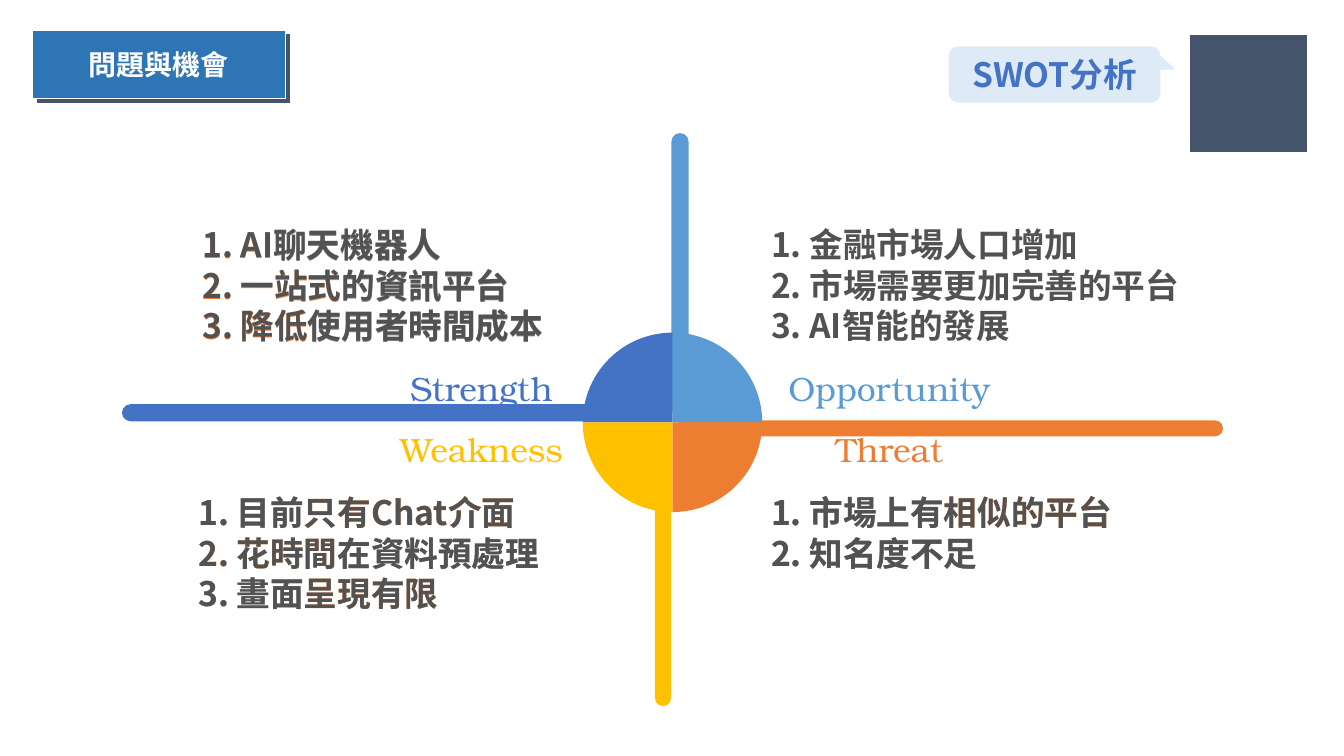
import math
from dataclasses import dataclass

import lxml.etree
import pptx
import pptx.dml.color
import pptx.enum.shapes
import pptx.enum.text
import pptx.oxml.ns
import pptx.util

Inches = pptx.util.Inches
Pt = pptx.util.Pt
SHAPES = pptx.enum.shapes.MSO_SHAPE
ALIGN = pptx.enum.text.PP_ALIGN
ANCHOR = pptx.enum.text.MSO_ANCHOR

SANS, SERIF = "Noto Sans CJK SC", "TeX Gyre Bonum"
BLUE, SKY, GOLD, ORANGE = "4472C4", "5B9BD5", "FFC000", "ED7D31"
NAVY, DARK, GRAY, WHITE = "44546A", "525252", "7C7C7C", "FFFFFF"
CENTER_X, CENTER_Y, RADIUS = 6.67, 4.19, 0.89


@dataclass
class Frame:
    """Position and size in inches."""
    left: float
    top: float
    width: float
    height: float

    def lengths(self) -> list:
        """Return the four values as lengths."""
        return [Inches(v) for v in (self.left, self.top, self.width, self.height)]


@dataclass
class Bar:
    """One arm of the cross."""
    frame: Frame
    color: str
    rotation: int = 0


@dataclass
class Quadrant:
    """One SWOT field; each point is a list of (text, under-layer colour)."""
    name: str
    color: str
    label: Frame
    body: Frame
    start_angle: int
    points: list
    layered: bool = True
    layer_drop: float = 0


BARS = [
    Bar(Frame(6.7, 4.17, 5.43, 0.16), ORANGE),
    Bar(Frame(5.34, 2.64, 2.81, 0.17), SKY, 270),
    Bar(Frame(5.17, 5.52, 2.81, 0.16), GOLD, 90),
    Bar(Frame(1.21, 4.01, 5.43, 0.17), BLUE),
]
QUADRANTS = [
    Quadrant("Strength", BLUE, Frame(3.78, 3.6, 1.99, 0.5),
             Frame(1.91, 2.17, 3.87, 1.31), 180,
             [[("AI", ORANGE), ("聊天機器人", GRAY)],
              [("一站式", ORANGE), ("的資訊平台", GRAY)],
              [("降低", ORANGE), ("使用者時間成本", GRAY)]], layer_drop=0.01),
    Quadrant("Weakness", GOLD, Frame(3.78, 4.21, 1.99, 0.5),
             Frame(1.87, 4.83, 3.87, 1.31), 90,
             [[("目前", GRAY), ("只有Chat介面", ORANGE)],
              [("花時間", ORANGE), ("在資料預處理", GRAY)],
              [("畫面", GRAY), ("呈現有限", ORANGE)]]),
    Quadrant("Opportunity", SKY, Frame(7.55, 3.6, 2.54, 0.5),
             Frame(7.55, 2.17, 4.35, 1.31), 270,
             [[("金融市場人口增加", DARK)], [("市場需要更加完善的平台", DARK)],
              [("AI智能的發展", DARK)]], layered=False),
    Quadrant("Threat", ORANGE, Frame(7.55, 4.21, 2.54, 0.5),
             Frame(7.55, 4.83, 4.35, 0.91), 0,
             [[("市場上有", GRAY), ("相似的平台", ORANGE)],
              [("知名度不足", GRAY)]]),
]


def rgb(value: str) -> pptx.dml.color.RGBColor:
    """Turn a hex string into a colour."""
    return pptx.dml.color.RGBColor.from_string(value)


def paint(shape, color: str) -> None:
    """Give a shape a flat fill without line or shadow."""
    shape.shadow.inherit = False
    shape.fill.solid()
    shape.fill.fore_color.rgb = rgb(color)
    shape.line.fill.background()


def add_box(page, kind, frame: Frame, color: str):
    """Add a flat preset shape."""
    box = page.shapes.add_shape(kind, *frame.lengths())
    paint(box, color)
    return box


def style_span(span, font: str, size: int, color: str, bold: bool) -> None:
    """Format a run, for Latin and East Asian characters alike."""
    span.font.name, span.font.size, span.font.bold = font, Pt(size), bold
    span.font.color.rgb = rgb(color)
    east_asian = lxml.etree.SubElement(
        span._r.get_or_add_rPr(), pptx.oxml.ns.qn("a:ea"))
    east_asian.set("typeface", font)


def write_centered(box, text: str, font: str, size: int, color: str, bold: bool) -> None:
    """Write one centred line into a shape or text box."""
    box.text_frame.text = text
    box.text_frame.word_wrap = True
    para = box.text_frame.paragraphs[0]
    para.alignment = ALIGN.CENTER
    style_span(para.runs[0], font, size, color, bold)


def number_paragraph(para) -> None:
    """Make a paragraph an item of a numbered list."""
    properties = para._p.get_or_add_pPr()
    properties.set("marL", str(Inches(0.38)))
    properties.set("indent", str(-Inches(0.38)))
    bullet_font = lxml.etree.SubElement(properties, pptx.oxml.ns.qn("a:buFont"))
    bullet_font.set("typeface", "+mj-lt")
    bullet = lxml.etree.SubElement(properties, pptx.oxml.ns.qn("a:buAutoNum"))
    bullet.set("type", "arabicPeriod")


def add_points(page, frame: Frame, points: list) -> None:
    """Add a numbered list with coloured spans."""
    box = page.shapes.add_textbox(*frame.lengths())
    box.text_frame.word_wrap = True
    for index, parts in enumerate(points):
        para = (box.text_frame.add_paragraph() if index
                else box.text_frame.paragraphs[0])
        para.line_spacing = Pt(29)
        number_paragraph(para)
        for text, color in parts:
            span = para.add_run()
            span.text = text
            style_span(span, SANS, 24, color, True)


def add_sector(page, start_angle: int, color: str) -> None:
    """Add a quarter disc, clockwise from the start angle."""
    arc = [math.radians(start_angle + step) for step in range(0, 91, 3)]
    edge = [(Inches(CENTER_X + RADIUS * math.cos(a)),
             Inches(CENTER_Y + RADIUS * math.sin(a))) for a in arc]
    builder = page.shapes.build_freeform(Inches(CENTER_X), Inches(CENTER_Y))
    builder.add_line_segments(edge, close=True)
    paint(builder.convert_to_shape(), color)


def build() -> None:
    """Build and save the slide."""
    deck = pptx.Presentation()
    deck.slide_width, deck.slide_height = Inches(13.33), Inches(7.5)
    page = deck.slides.add_slide(deck.slide_layouts[6])

    add_box(page, SHAPES.FLOWCHART_PROCESS, Frame(11.8, 0.35, 1.16, 1.16), NAVY)
    callout = add_box(page, SHAPES.ROUNDED_RECTANGULAR_CALLOUT,
                      Frame(9.41, 0.46, 2.1, 0.56), "DEEBF7")
    for index, value in enumerate((0.57, -0.09, 0.17)):
        callout.adjustments[index] = value
    write_centered(callout, "SWOT分析", SANS, 24, BLUE, True)

    for bar in BARS:
        arm = add_box(page, SHAPES.ROUNDED_RECTANGLE, bar.frame, bar.color)
        arm.adjustments[0] = 0.5
        arm.rotation = bar.rotation
    for part in QUADRANTS:
        label = page.shapes.add_textbox(*part.label.lengths())
        write_centered(label, part.name, SERIF, 24, part.color, False)
    for part in QUADRANTS:
        body = part.body
        under = Frame(body.left, body.top + part.layer_drop, body.width, body.height)
        add_points(page, under, part.points)
    for part in QUADRANTS:
        add_sector(page, part.start_angle, part.color)
    for part in QUADRANTS:
        if part.layered:
            lines = ["".join(text for text, _ in point) for point in part.points]
            add_points(page, part.body, [[(line, DARK)] for line in lines])

    add_box(page, SHAPES.FLOWCHART_PROCESS, Frame(0.37, 0.34, 2.51, 0.68), NAVY)
    title = add_box(page, SHAPES.FLOWCHART_PROCESS,
                    Frame(0.32, 0.3, 2.51, 0.68), "2E75B6")
    title.line.color.rgb = rgb(WHITE)
    title.line.width = Pt(1)
    title.text_frame.vertical_anchor = ANCHOR.MIDDLE
    write_centered(title, "問題與機會", SANS, 20, WHITE, True)
    deck.save("out.pptx")


build()
